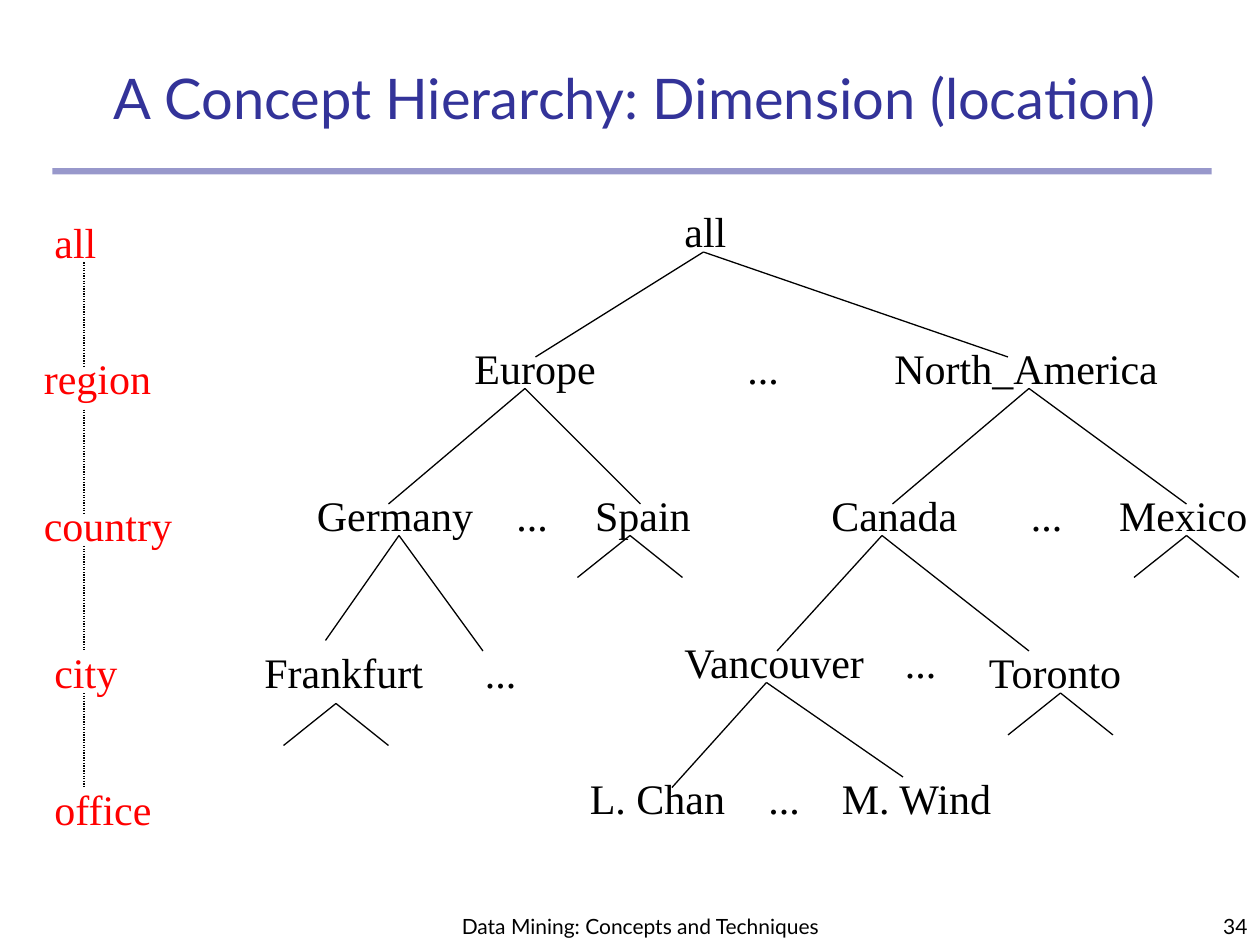
from typing import NamedTuple

from lxml import etree
from pptx import Presentation
from pptx.dml.color import RGBColor
from pptx.enum.dml import MSO_LINE
from pptx.enum.shapes import MSO_CONNECTOR, MSO_SHAPE
from pptx.enum.text import MSO_ANCHOR, MSO_AUTO_SIZE, PP_ALIGN
from pptx.oxml.ns import qn
from pptx.slide import Slide
from pptx.util import Cm, Length, Pt

BLACK = RGBColor(0x00, 0x00, 0x00)
RED = RGBColor(0xFF, 0x00, 0x00)
INDIGO = RGBColor(0x33, 0x33, 0x99)
DOTTED = MSO_LINE.ROUND_DOT
STRAIGHT = MSO_CONNECTOR.STRAIGHT
RECTANGLE = MSO_SHAPE.RECTANGLE
TOP, BOTTOM = MSO_ANCHOR.TOP, MSO_ANCHOR.BOTTOM
FIT_TEXT = MSO_AUTO_SIZE.SHAPE_TO_FIT_TEXT
LEFT, CENTER, RIGHT = PP_ALIGN.LEFT, PP_ALIGN.CENTER, PP_ALIGN.RIGHT
GRID_CM = 2.54 / 12
LABEL_HEIGHT = 6
ELLIPSIS_WIDTH = 5.5
LEVEL_AXIS = 8


class Point(NamedTuple):
    """A position in grid steps."""
    x: float
    y: float


class Label(NamedTuple):
    """A one-line name in the hierarchy."""
    text: str
    left: float
    top: float
    width: float


class Branch(NamedTuple):
    """A parent point and the two points its lines reach."""
    apex: Point
    left_foot: Point
    right_foot: Point


class Banner(NamedTuple):
    """A title or footer text with its frame and style."""
    text: str
    left: float
    top: float
    width: float
    height: float
    size: float
    color: RGBColor
    align: PP_ALIGN


BANNERS = [
    Banner("Data Mining: Concepts and Techniques", 42, 83, 38, 7, 12, BLACK, CENTER),
    Banner("34", 95, 84, 25, 6, 12, BLACK, RIGHT),
    Banner("A Concept Hierarchy: Dimension (location)", 8, 5, 105, 8, 32, INDIGO, CENTER),
]
LEVELS = [
    Label("all", 4, 20, 6.6),
    Label("region", 3, 33, 12.8),
    Label("country", 3, 47, 14.9),
    Label("city", 4, 61, 8.6),
    Label("office", 4, 74, 12),
]
PLACES = [
    Label("all", 64, 19, 6.6),
    Label("Europe", 44, 32, 14.3),
    Label("North_America", 84, 32, 27.8),
    Label("Germany", 29, 46, 17.6),
    Label("Spain", 55.5, 46, 11.8),
    Label("Canada", 78, 46, 14.7),
    Label("Mexico", 105.4, 46, 14.6),
    Label("Frankfurt", 24, 61, 17.8),
    Label("Vancouver", 64, 60, 20.2),
    Label("Toronto", 93, 61, 15.6),
    Label("L. Chan", 55, 73, 15.6),
    Label("M. Wind", 79, 73, 17.1),
]
ELLIPSES = [Point(70, 32), Point(48, 46), Point(97, 46),
            Point(45, 61), Point(85, 60), Point(72, 73)]
BRANCHES = [
    Branch(Point(67, 24), Point(51, 34), Point(96, 34)),
    Branch(Point(50, 37), Point(37, 48), Point(61, 48)),
    Branch(Point(98, 37), Point(85, 48), Point(113, 48)),
    Branch(Point(38, 51), Point(31, 61), Point(46, 62)),
    Branch(Point(84, 51), Point(74, 62), Point(98, 62)),
    Branch(Point(73, 65), Point(64, 75), Point(86, 74)),
]
UNEXPANDED = [Point(60, 51), Point(113, 51), Point(32, 67), Point(101, 66)]
LEVEL_GAPS = [(25, 35), (39, 49), (52, 62), (66, 75)]


def grid(steps: float) -> Length:
    """Convert grid steps to a length."""
    return Cm(steps * GRID_CM)


def draw_text(slide: Slide, banner: Banner, font_name: str, one_line: bool) -> None:
    """Add a text box, either fitted to one line or bottom-anchored."""
    box = slide.shapes.add_textbox(*map(grid, banner[1:5]))
    frame = box.text_frame
    frame.text = banner.text
    frame.word_wrap = not one_line
    frame.vertical_anchor = TOP if one_line else BOTTOM
    if one_line:
        frame.auto_size = FIT_TEXT
    paragraph = frame.paragraphs[0]
    paragraph.alignment = banner.align
    font = paragraph.runs[0].font
    font.name = font_name
    font.size = Pt(banner.size)
    font.color.rgb = banner.color


def draw_label(slide: Slide, label: Label, color: RGBColor) -> None:
    """Add one name of the hierarchy."""
    banner = Banner(*label, LABEL_HEIGHT, 24, color, LEFT)
    draw_text(slide, banner, "Times New Roman", True)


def draw_line(slide: Slide, start: Point, end: Point, dotted: bool = False) -> None:
    """Add a thin black line."""
    line = slide.shapes.add_connector(STRAIGHT, *map(grid, (*start, *end)))
    line.line.color.rgb = BLACK
    line.line.width = Pt(0.75)
    if dotted:
        line.line.dash_style = DOTTED
    etree.SubElement(line._element.spPr, qn("a:effectLst"))


def draw_branch(slide: Slide, branch: Branch) -> None:
    """Add the two lines below a parent."""
    draw_line(slide, branch.apex, branch.left_foot)
    draw_line(slide, branch.apex, branch.right_foot)


def draw_title_rule(slide: Slide) -> None:
    """Add the half-transparent bar below the title."""
    rule = slide.shapes.add_shape(RECTANGLE, *map(grid, (5, 16, 110.4, 0.6)))
    rule.shadow.inherit = False
    rule.line.fill.background()
    rule.fill.solid()
    rule.fill.fore_color.rgb = INDIGO
    color = rule._element.spPr.find(".//" + qn("a:srgbClr"))
    etree.SubElement(color, qn("a:alpha"), val="50000")


def main() -> None:
    """Build the slide and save it."""
    deck = Presentation()
    deck.slide_width, deck.slide_height = Cm(25.4), Cm(19.05)
    slide = deck.slides.add_slide(deck.slide_layouts[6])
    draw_title_rule(slide)
    for banner in BANNERS:
        draw_text(slide, banner, "Lato", False)
    for place in PLACES:
        draw_label(slide, place, BLACK)
    for ellipsis in ELLIPSES:
        draw_label(slide, Label("...", *ellipsis, ELLIPSIS_WIDTH), BLACK)
    for branch in BRANCHES:
        draw_branch(slide, branch)
    for apex in UNEXPANDED:
        foot_y = apex.y + 4
        draw_branch(slide, Branch(apex, Point(apex.x - 5, foot_y), Point(apex.x + 5, foot_y)))
    for level in LEVELS:
        draw_label(slide, level, RED)
    for top, bottom in LEVEL_GAPS:
        draw_line(slide, Point(LEVEL_AXIS, top), Point(LEVEL_AXIS, bottom), dotted=True)
    deck.save("out.pptx")


if __name__ == "__main__":
    main()
